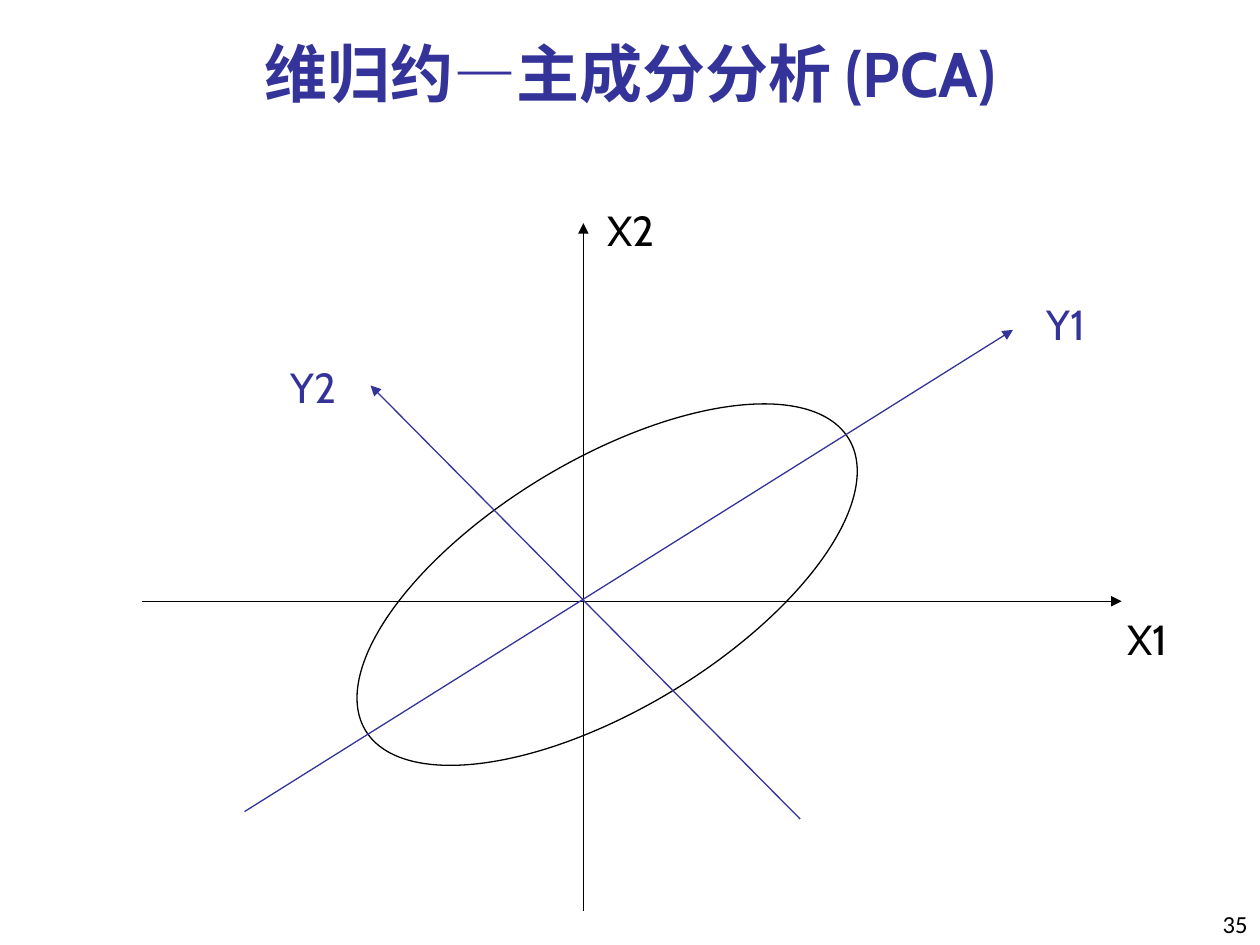
from dataclasses import dataclass

import pptx
import pptx.dml.color
import pptx.enum.shapes
import pptx.enum.text
import pptx.oxml.ns
import pptx.util
from lxml import etree

Cm = pptx.util.Cm
Pt = pptx.util.Pt
Anchor = pptx.enum.text.MSO_ANCHOR
Align = pptx.enum.text.PP_ALIGN


@dataclass(frozen=True)
class Theme:
    ink: pptx.dml.color.RGBColor = pptx.dml.color.RGBColor(0x00, 0x00, 0x00)
    accent: pptx.dml.color.RGBColor = pptx.dml.color.RGBColor(0x33, 0x33, 0x99)
    font: str = "Cabin"
    number_font: str = "Calibri"
    title_size: int = 36
    label_size: int = 24
    number_size: int = 14
    line_width: float = 0.75


THEME = Theme()


def write(frame, text, size, color, font=THEME.font, align=Align.LEFT, bold=False):
    frame.text = text
    paragraph = frame.paragraphs[0]
    paragraph.alignment = align
    paragraph.font.name = font
    paragraph.font.size = Pt(size)
    paragraph.font.bold = bold
    paragraph.font.color.rgb = color


def set_title(slide, text):
    title = slide.shapes.title
    title.left, title.top = Cm(0), Cm(0)
    title.width, title.height = Cm(25.4), Cm(2.34)
    frame = title.text_frame
    frame.auto_size = pptx.enum.text.MSO_AUTO_SIZE.NONE
    frame.vertical_anchor = Anchor.BOTTOM
    write(frame, text, THEME.title_size, THEME.accent, align=Align.CENTER, bold=True)


def add_axis(slide, start, end, color):
    axis = slide.shapes.add_connector(
        pptx.enum.shapes.MSO_CONNECTOR.STRAIGHT,
        *(Cm(value) for value in start + end),
    )
    axis.line.color.rgb = color
    axis.line.width = Pt(THEME.line_width)
    line = axis.line._get_or_add_ln()
    etree.SubElement(line, pptx.oxml.ns.qn("a:tailEnd"), type="triangle")
    etree.SubElement(axis._element.spPr, pptx.oxml.ns.qn("a:effectLst"))


def add_axis_label(slide, text, left, top, color):
    label = slide.shapes.add_textbox(Cm(left), Cm(top), Cm(1.5), Cm(1.27))
    label.text_frame.word_wrap = False
    write(label.text_frame, text, THEME.label_size, color)


def add_data_ellipse(slide, left, top, width, height, rotation):
    ellipse = slide.shapes.add_shape(
        pptx.enum.shapes.MSO_SHAPE.OVAL, Cm(left), Cm(top), Cm(width), Cm(height)
    )
    ellipse.rotation = rotation
    ellipse.shadow.inherit = False
    ellipse.fill.background()
    ellipse.line.color.rgb = THEME.ink
    ellipse.line.width = Pt(THEME.line_width)


def add_page_number(slide, text):
    number = slide.shapes.add_textbox(Cm(20.12), Cm(17.98), Cm(5.28), Cm(1.07))
    number.text_frame.word_wrap = True
    number.text_frame.vertical_anchor = Anchor.BOTTOM
    write(number.text_frame, text, THEME.number_size, THEME.ink,
          font=THEME.number_font, align=Align.RIGHT)


def main():
    deck = pptx.Presentation()
    deck.slide_width, deck.slide_height = Cm(25.4), Cm(19.05)
    slide = deck.slides.add_slide(deck.slide_layouts[5])

    set_title(slide, "维归约—主成分分析 (PCA)")
    add_page_number(slide, "35")

    origin_x, origin_y = 11.76, 12.12
    add_axis(slide, (2.87, origin_y), (22.61, origin_y), THEME.ink)
    add_axis(slide, (origin_x, 18.36), (origin_x, 4.5), THEME.ink)
    add_data_ellipse(slide, 6.55, 9.27, 11.38, 5.03, 328.9)
    add_axis(slide, (4.93, 16.36), (20.42, 6.65), THEME.accent)
    add_axis(slide, (16.13, 16.51), (7.47, 7.77), THEME.accent)

    for text, left, top, color in (
        ("X1", 22.48, 12.24, THEME.ink),
        ("X2", 11.99, 3.99, THEME.ink),
        ("Y1", 20.85, 5.89, THEME.accent),
        ("Y2", 5.61, 7.16, THEME.accent),
    ):
        add_axis_label(slide, text, left, top, color)

    deck.save("out.pptx")


if __name__ == "__main__":
    main()
